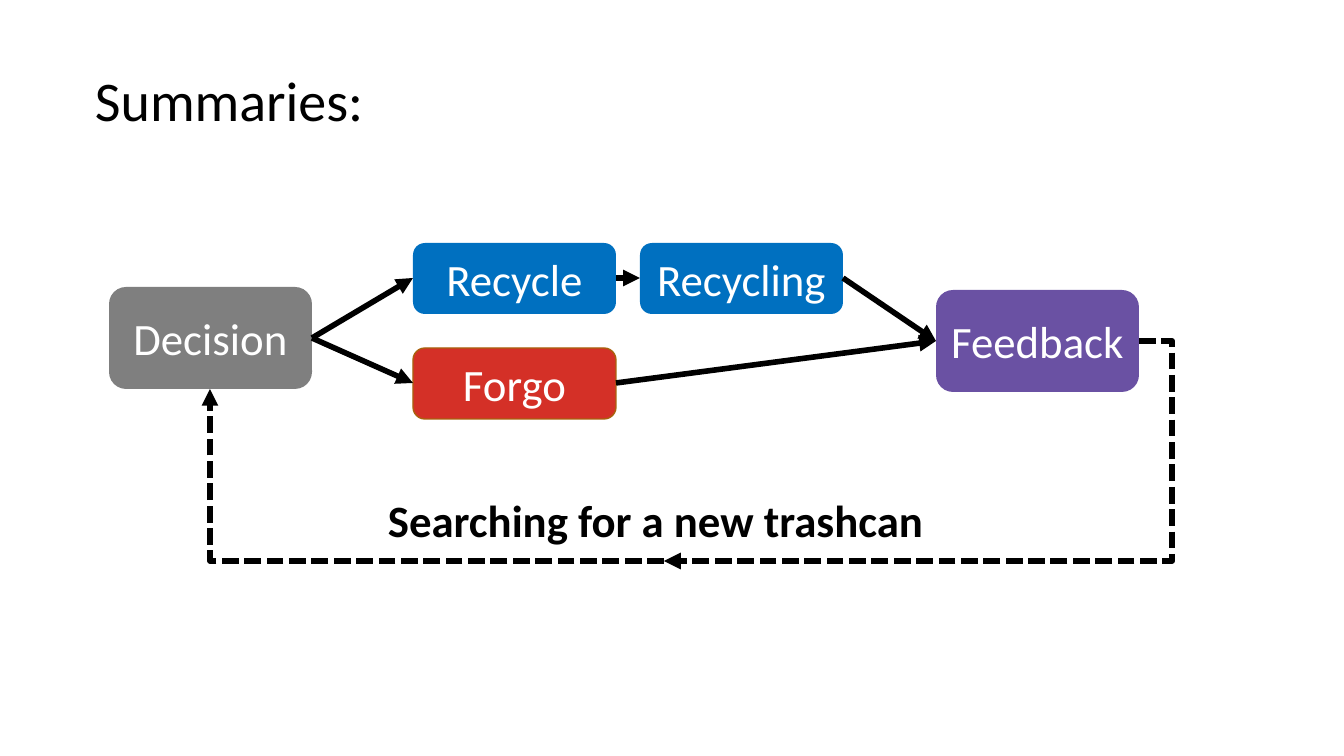
import pptx
import pptx.util
import pptx.dml.color
import pptx.enum.dml
import pptx.enum.shapes
import pptx.enum.text
import pptx.oxml
import pptx.oxml.ns

PX = 9144000 / 1008
BLACK = "000000"
WHITE = "FFFFFF"
BLUE = "0070C0"


def px(length):
    return pptx.util.Emu(round(length * PX))


def color(value):
    return pptx.dml.color.RGBColor.from_string(value)


class Diagram:
    """Draws boxes, arrows and labels on one page in a shared style."""

    font = "Calibri"
    size = 32
    stroke = 4

    def __init__(self, page):
        self.page = page

    def add_text(self, shape, text, ink, size, align, bold=False):
        para = shape.text_frame.paragraphs[0]
        para.alignment = align
        span = para.add_run()
        span.text = text
        span.font.name = self.font
        span.font.size = pptx.util.Pt(size)
        span.font.bold = bold
        span.font.color.rgb = color(ink)

    def box(self, text, left, top, width, height, fill, outline=None):
        box = self.page.shapes.add_shape(
            pptx.enum.shapes.MSO_SHAPE.ROUNDED_RECTANGLE,
            px(left), px(top), px(width), px(height))
        box.shadow.inherit = False
        box.fill.solid()
        box.fill.fore_color.rgb = color(fill)
        if outline:
            box.line.color.rgb = color(outline)
            box.line.width = pptx.util.Pt(1)
        else:
            box.line.fill.background()
        box.text_frame.vertical_anchor = pptx.enum.text.MSO_ANCHOR.MIDDLE
        self.add_text(box, text, WHITE, self.size, pptx.enum.text.PP_ALIGN.CENTER)
        return box

    def label(self, text, left, top, width, height, size, align, bold=False):
        label = self.page.shapes.add_textbox(px(left), px(top), px(width), px(height))
        label.text_frame.word_wrap = True
        label.text_frame.auto_size = pptx.enum.text.MSO_AUTO_SIZE.SHAPE_TO_FIT_TEXT
        self.add_text(label, text, BLACK, size, align, bold)

    def arrow(self, start, end, kind=pptx.enum.shapes.MSO_CONNECTOR.STRAIGHT):
        arrow = self.page.shapes.add_connector(kind, *map(px, start + end))
        arrow.line.color.rgb = color(BLACK)
        arrow.line.width = pptx.util.Pt(self.stroke)
        properties = arrow._element.spPr
        head = pptx.oxml.parse_xml(
            f'<a:tailEnd {pptx.oxml.ns.nsdecls("a")} type="triangle"/>')
        properties.find(pptx.oxml.ns.qn("a:ln")).append(head)
        properties.append(pptx.oxml.parse_xml(
            f'<a:effectLst {pptx.oxml.ns.nsdecls("a")}/>'))
        return arrow

    def dotted_elbow(self, start, end, preset, bend=None):
        elbow = self.arrow(start, end, pptx.enum.shapes.MSO_CONNECTOR.ELBOW)
        elbow.line.dash_style = pptx.enum.dml.MSO_LINE.SQUARE_DOT
        geometry = elbow._element.spPr.find(pptx.oxml.ns.qn("a:prstGeom"))
        geometry.set("prst", preset)
        if bend is not None:
            guide = pptx.oxml.parse_xml(
                f'<a:gd {pptx.oxml.ns.nsdecls("a")} name="adj1" fmla="val {bend}"/>')
            geometry.find(pptx.oxml.ns.qn("a:avLst")).append(guide)


def middle(box, side):
    """Return the px point halfway down the left (0) or right (1) edge."""
    return (round((box.left + side * box.width) / PX),
            round((box.top + box.height / 2) / PX))


def main():
    deck = pptx.Presentation()
    deck.slide_width, deck.slide_height = px(1344), px(756)
    diagram = Diagram(deck.slides.add_slide(deck.slide_layouts[6]))
    align = pptx.enum.text.PP_ALIGN

    decision = diagram.box("Decision", 109, 287, 203, 102, "7F7F7F")
    recycle = diagram.box("Recycle", 413, 243, 203, 71, BLUE)
    forgo = diagram.box("Forgo", 413, 348, 203, 71, "D43027", "A9610D")
    feedback = diagram.box("Feedback", 936, 290, 203, 102, "6A51A3")
    recycling = diagram.box("Recycling", 640, 243, 203, 71, BLUE)

    for source, target in ((decision, recycle), (decision, forgo),
                           (recycling, feedback), (forgo, feedback),
                           (recycle, recycling)):
        diagram.arrow(middle(source, 1), middle(target, 0))

    turn = (664, 561)
    diagram.dotted_elbow(middle(feedback, 1), turn, "bentConnector3", -7000)
    diagram.dotted_elbow(turn, (210, 389), "bentConnector2")

    diagram.label("Searching for a new trashcan", 378, 488, 726, 65,
                  diagram.size, align.LEFT, bold=True)
    diagram.label("Summaries:", 85, 61, 1111, 78, 40, align.JUSTIFY)
    deck.save("out.pptx")


if __name__ == "__main__":
    main()
